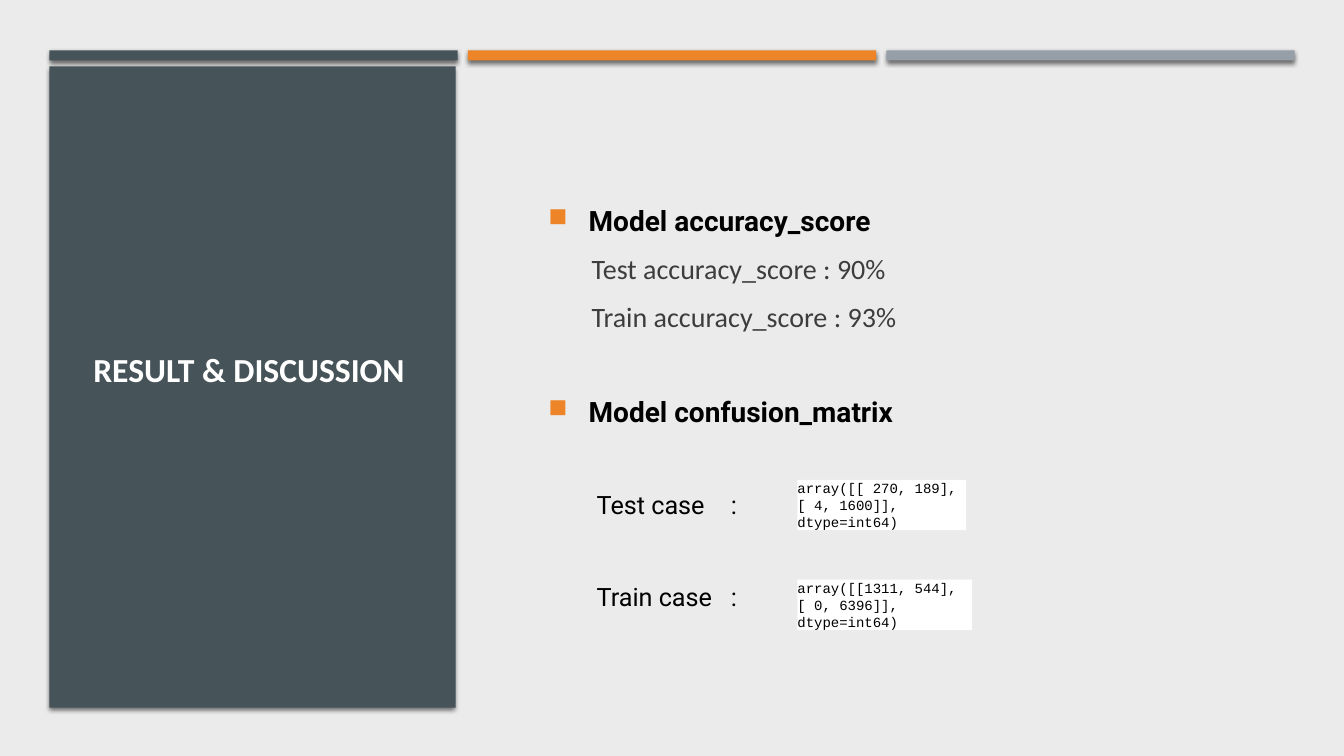
from lxml import etree
from pptx import Presentation
from pptx.dml.color import RGBColor
from pptx.enum.shapes import MSO_SHAPE
from pptx.enum.text import MSO_ANCHOR, PP_ALIGN
from pptx.oxml.ns import qn
from pptx.util import Inches, Pt

RECTANGLE = MSO_SHAPE.RECTANGLE
MIDDLE = MSO_ANCHOR.MIDDLE
LEFT, CENTER = PP_ALIGN.LEFT, PP_ALIGN.CENTER

BACKGROUND = RGBColor(0xEB, 0xEB, 0xEB)
SLATE = RGBColor(0x46, 0x53, 0x59)
ORANGE = RGBColor(0xED, 0x84, 0x28)
GRAY = RGBColor(0x96, 0x9F, 0xA7)
DARK = RGBColor(0x3D, 0x3D, 0x3D)
BLACK = RGBColor(0, 0, 0)
WHITE = RGBColor(0xFF, 0xFF, 0xFF)

TITLE = "RESULT & DISCUSSION"
BAR_COLORS = [SLATE, ORANGE, GRAY]
BODY = [
    ("heading", "Model accuracy_score", 4),
    ("score", "Test accuracy_score : 90%", 4),
    ("score", "Train accuracy_score : 93%", 4),
    ("heading", "Model confusion_matrix", 38),
    ("case", "\tTest case\t:", 38),
    ("case", "\tTrain case\t:", 38),
]
STYLES = {
    "heading": ("Roboto", 20, BLACK, True),
    "score": ("Calibri", 20, DARK, False),
    "case": ("Roboto", 18, BLACK, False),
}
MATRICES = [
    ("array([[ 270, 189], [ 4, 1600]], dtype=int64)", 1.67),
    ("array([[1311, 544], [ 0, 6396]], dtype=int64)", 1.73),
]
BAR_LEFT, BAR_TOP, BAR_STEP = 0.49, 0.5, 4.15
MATRIX_LEFT, MATRIX_TOP, MATRIX_STEP = 7.91, 4.76, 0.99
HEADING_INDENT, SCORE_INDENT = Inches(0.4), Inches(0.43)
CASE_TABS = (0.48, 1.81)


def add_rectangle(slide, box, color):
    shape = slide.shapes.add_shape(RECTANGLE, *map(Inches, box))
    shape.shadow.inherit = False
    shape.fill.solid()
    shape.fill.fore_color.rgb = color
    shape.line.fill.background()
    return shape


def add_shadow(shape):
    effects = shape.element.spPr.find(qn("a:effectLst"))
    shadow = etree.SubElement(effects, qn("a:outerShdw"), blurRad=str(Pt(3)),
                              dist=str(Pt(2)), dir="5400000", rotWithShape="0")
    color = etree.SubElement(shadow, qn("a:srgbClr"), val=str(BLACK))
    etree.SubElement(color, qn("a:alpha"), val="55000")


def add_text_box(slide, box):
    frame = slide.shapes.add_textbox(*map(Inches, box)).text_frame
    frame.word_wrap = True
    frame.vertical_anchor = MIDDLE
    return frame


def format_runs(paragraph, font_name, size, color, bold):
    for run in paragraph.runs:
        run.font.name = font_name
        run.font.size = Pt(size)
        run.font.color.rgb = color
        run.font.bold = bold


def add_bullet(properties):
    properties.set("marL", str(HEADING_INDENT))
    properties.set("indent", str(-HEADING_INDENT))
    color = etree.SubElement(properties, qn("a:buClr"))
    etree.SubElement(color, qn("a:srgbClr"), val=str(ORANGE))
    etree.SubElement(properties, qn("a:buSzPct"), val="92000")
    etree.SubElement(properties, qn("a:buChar"), char="■")


def add_tabs(properties):
    tabs = etree.SubElement(properties, qn("a:tabLst"))
    for position in CASE_TABS:
        etree.SubElement(tabs, qn("a:tab"), pos=str(Inches(position)), algn="l")


def add_body(slide):
    frame = add_text_box(slide, (5.34, 1.5, 7.27, 5.09))
    for index, (kind, text, space_before) in enumerate(BODY):
        paragraph = frame.add_paragraph() if index else frame.paragraphs[0]
        paragraph.text = text
        paragraph.space_before = Pt(space_before)
        paragraph.space_after = Pt(6)
        format_runs(paragraph, *STYLES[kind])
        properties = paragraph._p.get_or_add_pPr()
        if kind == "heading":
            add_bullet(properties)
        elif kind == "score":
            properties.set("marL", str(SCORE_INDENT))
        else:
            add_tabs(properties)


def add_title(slide):
    frame = add_text_box(slide, (0.81, 2.57, 3.32, 2.18))
    frame.margin_left = frame.margin_right = 0
    paragraph = frame.paragraphs[0]
    paragraph.text = TITLE
    paragraph.alignment = CENTER
    format_runs(paragraph, "Calibri", 24, WHITE, True)


def add_matrix(slide, index, text, width):
    top = MATRIX_TOP + index * MATRIX_STEP
    shape = add_rectangle(slide, (MATRIX_LEFT, top, width, 0.5), WHITE)
    frame = shape.text_frame
    frame.word_wrap = True
    frame.vertical_anchor = MIDDLE
    frame.margin_left = frame.margin_right = 0
    frame.margin_top = frame.margin_bottom = 0
    paragraph = frame.paragraphs[0]
    paragraph.text = text
    paragraph.alignment = LEFT
    format_runs(paragraph, "Courier New", 10, BLACK, False)


def main():
    presentation = Presentation()
    presentation.slide_width = Inches(13.33)
    presentation.slide_height = Inches(7.5)
    slide = presentation.slides.add_slide(presentation.slide_layouts[6])
    slide.background.fill.solid()
    slide.background.fill.fore_color.rgb = BACKGROUND

    for index, color in enumerate(BAR_COLORS):
        left = BAR_LEFT + index * BAR_STEP
        add_shadow(add_rectangle(slide, (left, BAR_TOP, 4.05, 0.1), color))
    add_shadow(add_rectangle(slide, (BAR_LEFT, 0.66, 4.03, 6.36), SLATE))

    add_body(slide)
    add_title(slide)
    for index, (text, width) in enumerate(MATRICES):
        add_matrix(slide, index, text, width)
    presentation.save("out.pptx")


if __name__ == "__main__":
    main()
